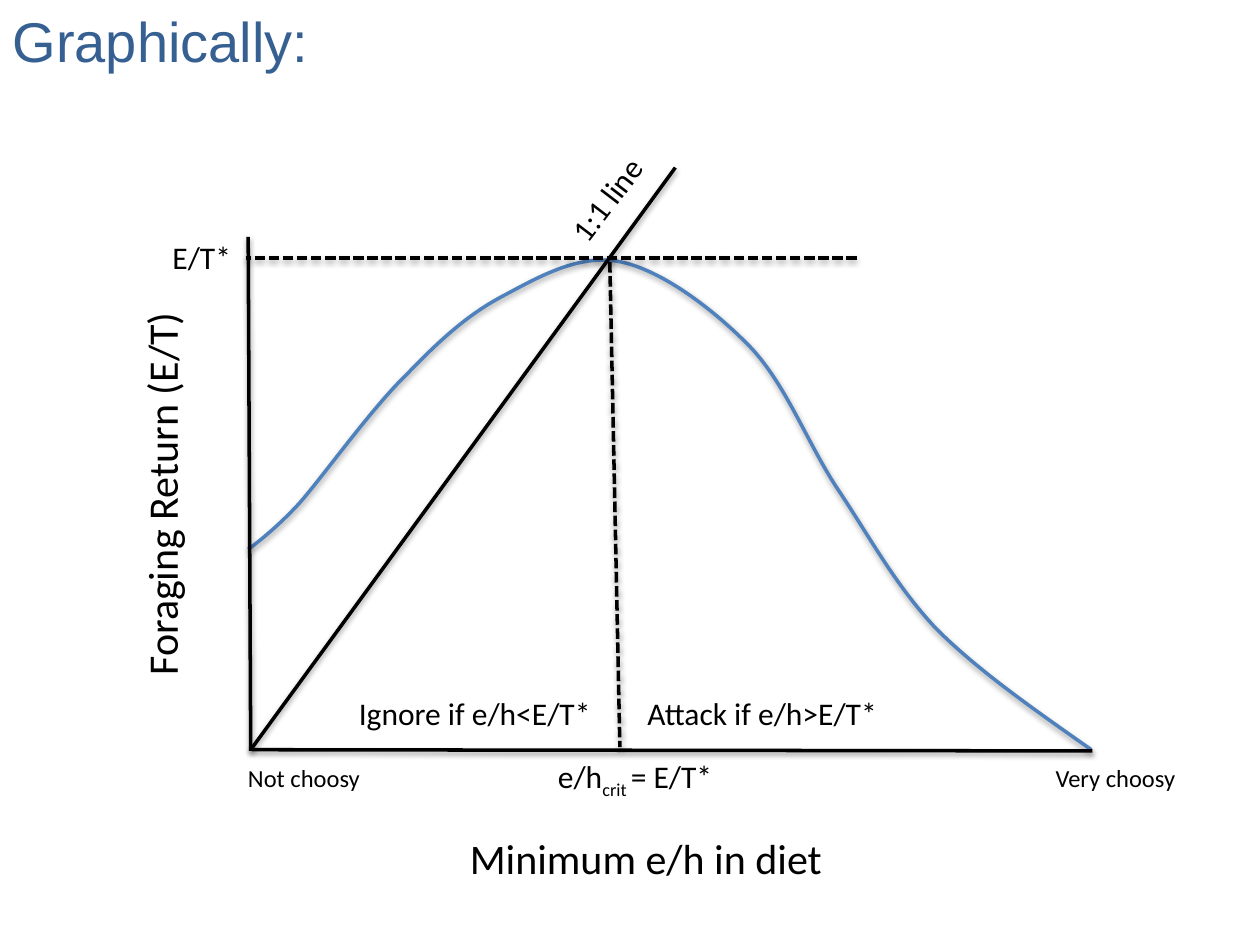
from lxml import etree
from pptx import Presentation
from pptx.dml.color import RGBColor
from pptx.enum.dml import MSO_LINE
from pptx.enum.shapes import MSO_CONNECTOR
from pptx.enum.text import MSO_ANCHOR, MSO_AUTO_SIZE as AUTO, PP_ALIGN
from pptx.oxml import parse_xml
from pptx.oxml.ns import nsdecls, qn
from pptx.util import Inches, Pt

SHADOW = (f'<a:effectLst {nsdecls("a")}><a:outerShdw blurRad="39370" dist="20320" '
          'dir="5400000" rotWithShape="0"><a:srgbClr val="000000">'
          '<a:alpha val="38000"/></a:srgbClr></a:outerShdw></a:effectLst>')


def style_line(shape, color, dash=None):
    shape.line.color.rgb = RGBColor.from_string(color)
    shape.line.width = Pt(2)
    if dash:
        shape.line.dash_style = dash
    shape._element.spPr.append(parse_xml(SHADOW))


def style_text(shape, size, font="Calibri", color="000000", wrap=True):
    frame = shape.text_frame
    frame.word_wrap = wrap
    frame.auto_size = AUTO.SHAPE_TO_FIT_TEXT
    for run in frame.paragraphs[0].runs:
        run.font.size = Pt(size)
        run.font.name = font
        run.font.color.rgb = RGBColor.from_string(color)


prs = Presentation()
prs.slide_width, prs.slide_height = Inches(10), Inches(7.5)
slide = prs.slides.add_slide(prs.slide_layouts[5])

# Title
title = slide.shapes.title
title.left, title.top, title.width, title.height = map(Inches, (0, 0, 8.84, 0.64))
title.text_frame.text = "Graphically:"
title.text_frame.vertical_anchor = MSO_ANCHOR.TOP
title.text_frame.paragraphs[0].alignment = PP_ALIGN.LEFT
style_text(title, 32, "Arial", "376092")

# Foraging return curve: a start point, then three points per Bézier segment
curve_start = (8.66, 5.95)
curve_points = [
    (8.22, 5.64), (7.77, 5.33), (7.43, 4.99),
    (7.10, 4.64), (6.89, 4.24), (6.64, 3.87),
    (6.40, 3.50), (6.24, 3.06), (5.96, 2.76),
    (5.67, 2.46), (5.26, 2.15), (4.93, 2.08),
    (4.61, 2.01), (4.29, 2.19), (4.01, 2.34),
    (3.72, 2.49), (3.50, 2.69), (3.23, 2.97),
    (2.95, 3.24), (2.58, 3.76), (2.38, 3.99),
    (2.17, 4.22), (1.97, 4.36), (1.97, 4.36),
]
builder = slide.shapes.build_freeform(*map(Inches, curve_start))
builder.add_line_segments([(Inches(x), Inches(y)) for x, y in curve_points], close=False)
curve = builder.convert_to_shape()
curve.fill.background()
style_line(curve, "4F81BD")

# Merge every three straight segments into one cubic segment
segments = list(curve._element.iter(qn("a:lnTo")))
for first, second, end in zip(segments[::3], segments[1::3], segments[2::3]):
    cubic = etree.Element(qn("a:cubicBezTo"))
    first.addprevious(cubic)
    for segment in (first, second, end):
        cubic.append(segment[0])
        segment.getparent().remove(segment)

# Axes, 1:1 line and dashed guides
axes = slide.shapes.add_group_shape().shapes
optimum = slide.shapes.add_group_shape().shapes
for parent, start, end, dash in [
    (axes, (1.97, 1.88), (1.99, 5.96), None),
    (axes, (8.67, 5.96), (2, 5.95), None),
    (slide.shapes, (1.99, 5.95), (5.36, 1.33), None),
    (slide.shapes, (4.84, 2.08), (4.92, 5.93), MSO_LINE.SQUARE_DOT),
    (optimum, (6.8, 2.05), (1.95, 2.05), MSO_LINE.SQUARE_DOT),
]:
    line = parent.add_connector(MSO_CONNECTOR.STRAIGHT, *map(Inches, start + end))
    style_line(line, "000000", dash)

# Labels: parent, text, box, size, rotation, wrap
for parent, text, box, size, rotation, wrap in [
    (slide.shapes, "Foraging Return (E/T)", (-0.41, 3.52, 3.38, 0.5), 24, 270, True),
    (slide.shapes, "Minimum e/h in diet", (3.63, 6.56, 3.38, 0.5), 24, 0, True),
    (slide.shapes, "Very choosy", (8.28, 6.01, 1.17, 0.34), 14, 0, True),
    (slide.shapes, "Not choosy", (1.87, 6.01, 1.17, 0.34), 14, 0, True),
    (slide.shapes, "1:1 line", (4.25, 1.2, 1.4, 0.4), 18, 307.3, True),
    (slide.shapes, "Attack if e/h>E/T*", (5.04, 5.46, 2.43, 0.4), 18, 0, True),
    (slide.shapes, "Ignore if e/h<E/T*", (2.75, 5.46, 2.43, 0.4), 18, 0, True),
    (optimum, "E/T*", (1.27, 1.84, 0.67, 0.4), 18, 0, False),
]:
    label = parent.add_textbox(*map(Inches, box))
    label.text_frame.text = text
    label.rotation = rotation
    style_text(label, size, wrap=wrap)

# Critical value with its subscript
critical = slide.shapes.add_textbox(*map(Inches, (4.33, 5.96, 2.43, 0.4)))
for part in ("e/h", "crit ", "= E/T*"):
    critical.text_frame.paragraphs[0].add_run().text = part
style_text(critical, 18)
subscript = critical.text_frame.paragraphs[0].runs[1]
subscript.font._element.set("baseline", "-25000")

prs.save("out.pptx")
